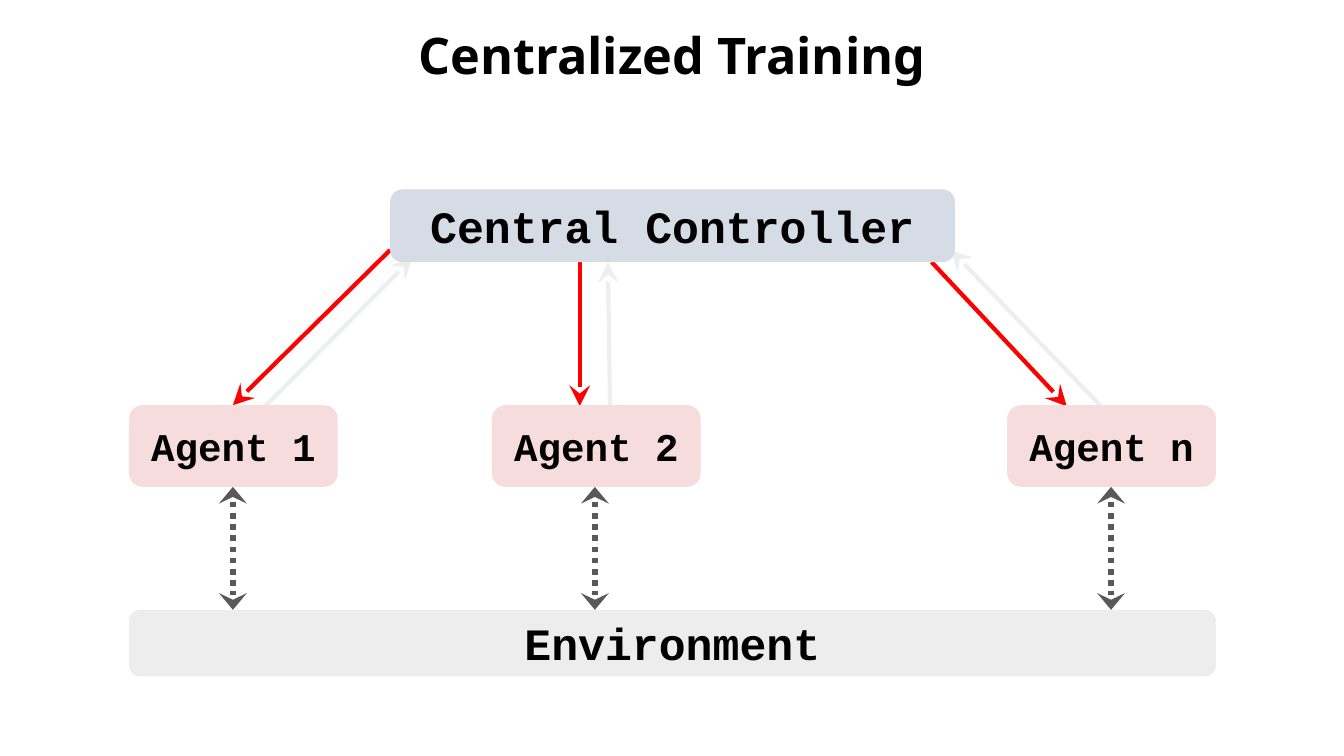
from typing import NamedTuple

from lxml import etree
from pptx import Presentation
from pptx.dml.color import RGBColor
from pptx.enum.dml import MSO_LINE
from pptx.enum.shapes import MSO_CONNECTOR, MSO_SHAPE
from pptx.enum.text import MSO_ANCHOR, PP_ALIGN
from pptx.oxml.ns import qn
from pptx.util import Pt

EMU_PER_PX = 9144  # 100 px to the inch

BLACK, WHITE = "000000", "FFFFFF"
GREY, PINK, BLUE_GREY = "EDEDED", "F6DCDD", "D6DCE5"
RED, SLATE, DARK_GREY = "FF0000", "44546A", "595959"

CONTROLLER_BOTTOM = 260
AGENT_TOP, AGENT_WIDTH, AGENT_HEIGHT = 402, 207, 81
ENVIRONMENT_TOP = 605


class Box(NamedTuple):
    text: str
    left: int
    top: int
    width: int
    height: int
    fill: str
    size: int


class Arrow(NamedTuple):
    """A line that always has a head at its end, and may have one at its start."""
    start: tuple[int, int]
    end: tuple[int, int]
    color: str
    weight: int = 3
    two_way: bool = False
    dotted: bool = False
    head_length: str = "lg"


REPORTS = [
    Arrow((263, 403), (409, 256), SLATE),
    Arrow((605, 403), (603, CONTROLLER_BOTTOM), SLATE),
    Arrow((1092, 403), (943, 248), SLATE),
]
COMMANDS = [
    Arrow((924, CONTROLLER_BOTTOM), (1058, 403), RED),
    Arrow((387, 248), (231, 402), RED),
    Arrow((575, CONTROLLER_BOTTOM), (575, 403), RED),
]
BOXES = [
    Box("Environment", 128, ENVIRONMENT_TOP, 1078, 66, GREY, 32),
    *(Box(f"Agent {name}", left, AGENT_TOP, AGENT_WIDTH, AGENT_HEIGHT, PINK, 28)
      for name, left in (("1", 128), ("2", 488), ("n", 999))),
    Box("Central Controller", 387, 188, 560, 72, BLUE_GREY, 32),
]
INTERACTIONS = [
    Arrow((x, AGENT_TOP + AGENT_HEIGHT), (x, ENVIRONMENT_TOP), DARK_GREY,
          weight=4, two_way=True, dotted=True, head_length="med")
    for x in (231, 590, 1102)
]


def px(*lengths: int) -> list[int]:
    return [length * EMU_PER_PX for length in lengths]


def rgb(color: str) -> RGBColor:
    return RGBColor.from_string(color)


def write(shape, text: str, *, size: int, font: str, spacing: float = 1.0) -> None:
    frame = shape.text_frame
    frame.word_wrap = True
    frame.vertical_anchor = MSO_ANCHOR.MIDDLE
    paragraph = frame.paragraphs[0]
    paragraph.alignment = PP_ALIGN.CENTER
    paragraph.line_spacing = spacing
    run = paragraph.add_run()
    run.text = text
    run.font.name = font
    run.font.size = Pt(size)
    run.font.bold = True
    run.font.color.rgb = rgb(BLACK)


def add_panel(slide, preset: MSO_SHAPE, bounds: tuple[int, int, int, int], fill: str):
    shape = slide.shapes.add_shape(preset, *px(*bounds))
    shape.shadow.inherit = False
    shape.fill.solid()
    shape.fill.fore_color.rgb = rgb(fill)
    shape.line.fill.background()
    return shape


def add_box(slide, box: Box) -> None:
    bounds = (box.left, box.top, box.width, box.height)
    shape = add_panel(slide, MSO_SHAPE.ROUNDED_RECTANGLE, bounds, box.fill)
    write(shape, box.text, size=box.size, font="Courier New")


def add_veil(slide) -> None:
    """Fade the arrows behind it with a nearly opaque white panel."""
    veil = add_panel(slide, MSO_SHAPE.RECTANGLE, (116, 148, 1089, 297), WHITE)
    color = veil.fill._xPr.find(".//" + qn("a:srgbClr"))
    etree.SubElement(color, qn("a:alpha"), val="90000")


def add_arrow(slide, arrow: Arrow) -> None:
    connector = slide.shapes.add_connector(
        MSO_CONNECTOR.STRAIGHT, *px(*arrow.start, *arrow.end))
    line = connector.line
    line.color.rgb = rgb(arrow.color)
    line.width = Pt(arrow.weight)
    if arrow.dotted:
        line.dash_style = MSO_LINE.ROUND_DOT  # stored as sysDot
    ends = ("a:headEnd", "a:tailEnd") if arrow.two_way else ("a:tailEnd",)
    for end in ends:
        etree.SubElement(line._get_or_add_ln(), qn(end),
                         type="stealth", w="lg", len=arrow.head_length)
    etree.SubElement(connector._element.spPr, qn("a:effectLst"))


def main() -> None:
    presentation = Presentation()
    presentation.slide_width, presentation.slide_height = px(1333, 750)
    slide = presentation.slides.add_slide(presentation.slide_layouts[6])

    for arrow in REPORTS:
        add_arrow(slide, arrow)
    add_veil(slide)
    for arrow in COMMANDS:
        add_arrow(slide, arrow)
    title = slide.shapes.add_textbox(*px(0, 1, 1333, 113))
    write(title, "Centralized Training", size=36, font="Noto Sans", spacing=0.9)
    for box in BOXES:
        add_box(slide, box)
    for arrow in INTERACTIONS:
        add_arrow(slide, arrow)

    presentation.save("out.pptx")


if __name__ == "__main__":
    main()
